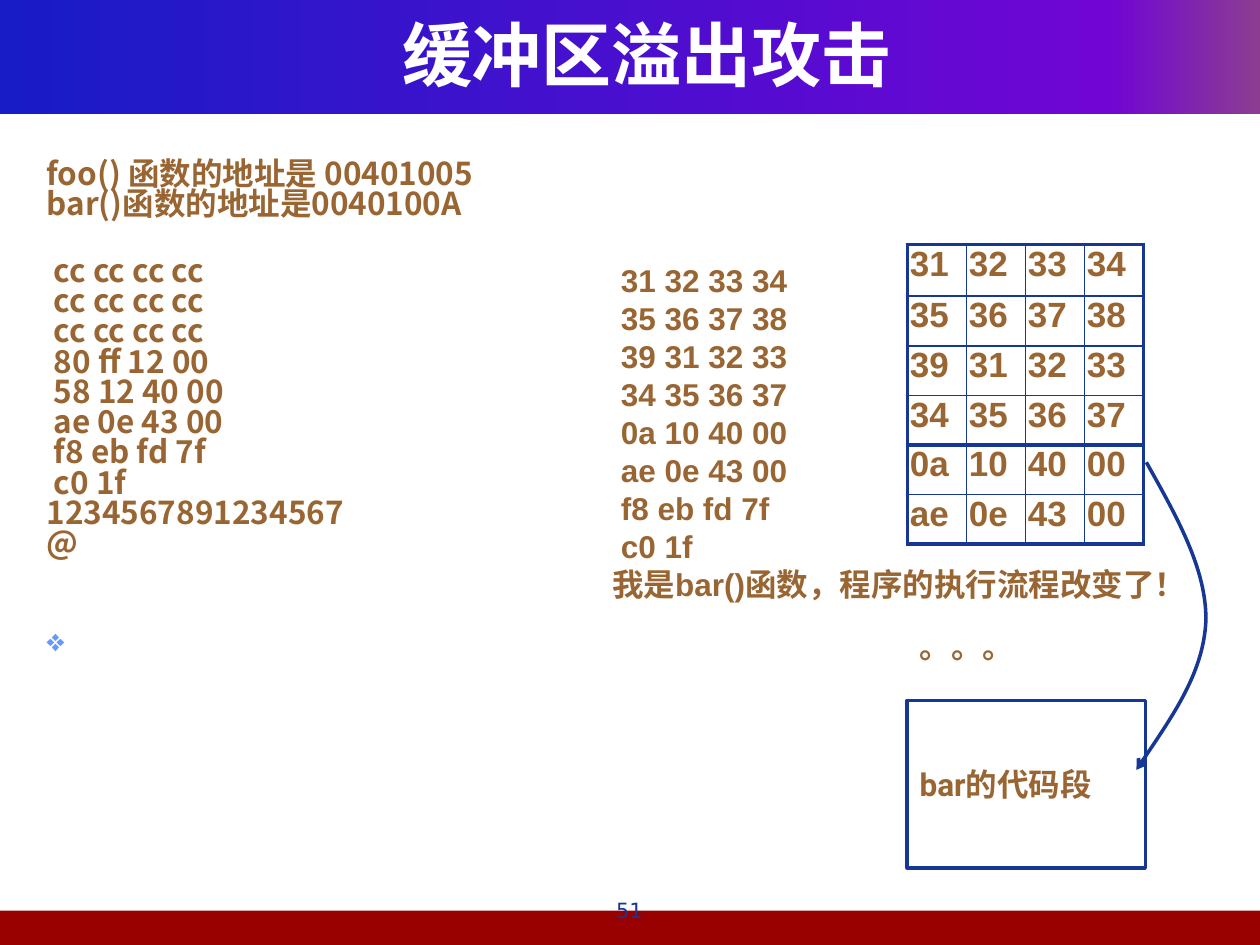
from dataclasses import dataclass
from typing import Optional

from lxml import etree
from pptx import Presentation, util as u
from pptx.dml.color import RGBColor
from pptx.enum import shapes, text
from pptx.oxml.ns import qn
from pptx.util import Cm, Pt

WHITE = RGBColor(0xFF, 0xFF, 0xFF)
BROWN = RGBColor(0x99, 0x66, 0x33)
NAVY = RGBColor(0x16, 0x37, 0x94)
RED = RGBColor(0x99, 0x00, 0x00)
BULLET = RGBColor(0x66, 0x99, 0xFF)
HEADER_STOPS = (
    (0, RGBColor(0x18, 0x1C, 0xC7)),
    (88, RGBColor(0x70, 0x05, 0xD4)),
    (100, RGBColor(0x8C, 0x3D, 0x91)),
)
CJK = "Noto Sans CJK SC"
LEFT, CENTER = text.PP_ALIGN.LEFT, text.PP_ALIGN.CENTER
TOP, MIDDLE = text.MSO_ANCHOR.TOP, text.MSO_ANCHOR.MIDDLE
THIN, THICK = Pt(1), Pt(2.25)


@dataclass(frozen=True)
class Box:
    left: float
    top: float
    width: float
    height: float

    def lengths(self) -> tuple[u.Length, ...]:
        return tuple(Cm(v) for v in (self.left, self.top, self.width, self.height))


@dataclass(frozen=True)
class Style:
    font: str
    size: float
    color: RGBColor = BROWN
    bold: bool = True
    align: text.PP_ALIGN = LEFT
    spacing: Optional[float] = None


def add_color(parent, color: RGBColor) -> None:
    etree.SubElement(parent, qn("a:srgbClr"), val=str(color))


def style_paragraph(p, style: Style) -> None:
    p.alignment = style.align
    p.space_before = Pt(0)
    if style.spacing is not None:
        p.line_spacing = style.spacing
    f = p.font
    f.size, f.bold, f.name = Pt(style.size), style.bold, style.font
    f.color.rgb = style.color
    etree.SubElement(p._p.pPr.find(qn("a:defRPr")), qn("a:ea"), typeface=CJK)


def write_lines(tf, lines: list[str], style: Style, anchor=TOP) -> None:
    tf.word_wrap = True
    tf.vertical_anchor = anchor
    for i, line in enumerate(lines):
        p = tf.paragraphs[0] if i == 0 else tf.add_paragraph()
        p.add_run().text = line
        style_paragraph(p, style)


def add_text(s, box: Box, lines: list[str], style: Style, anchor=TOP):
    tf = s.shapes.add_textbox(*box.lengths()).text_frame
    write_lines(tf, lines, style, anchor)
    return tf


def add_rect(s, box: Box, fill: Optional[RGBColor] = None):
    sp = s.shapes.add_shape(shapes.MSO_SHAPE.RECTANGLE, *box.lengths())
    sp.shadow.inherit = False
    sp.line.fill.background()
    if fill is None:
        sp.fill.background()
    else:
        sp.fill.solid()
        sp.fill.fore_color.rgb = fill
    return sp


def fill_gradient(sp, stops) -> None:
    sp.fill.gradient()
    sp.fill.gradient_angle = 0
    stop_list = sp._element.spPr.find(qn("a:gradFill")).find(qn("a:gsLst"))
    for old in list(stop_list):
        stop_list.remove(old)
    for percent, color in stops:
        add_color(etree.SubElement(stop_list, qn("a:gs"), pos=str(percent * 1000)), color)


def set_bullet(p, char: str, color: RGBColor) -> None:
    pPr = p._p.pPr
    pPr.set("marL", str(Cm(0.95)))
    pPr.set("indent", str(-Cm(0.95)))
    bullet_color = etree.Element(qn("a:buClr"))
    add_color(bullet_color, color)
    bullet = etree.Element(qn("a:buChar"), char=char)
    default_font = pPr.find(qn("a:defRPr"))
    default_font.addprevious(bullet_color)
    default_font.addprevious(bullet)


def set_borders(cell, **widths: int) -> None:
    tcPr = cell._tc.get_or_add_tcPr()
    for i, side in enumerate("LRTB"):
        ln = etree.Element(qn(f"a:ln{side}"), w=str(widths[side]))
        add_color(etree.SubElement(ln, qn("a:solidFill")), NAVY)
        tcPr.insert(i, ln)


def add_memory_table(s, left: float, top: float, rows: list[str], style: Style) -> None:
    data = [row.split() for row in rows]
    n_rows, n_cols = len(data), len(data[0])
    box = Box(left, top, 1.19 * n_cols, 1.01 * n_rows)
    table = s.shapes.add_table(n_rows, n_cols, *box.lengths()).table
    table.first_row = table.horz_banding = False
    for column in table.columns:
        column.width = Cm(1.19)
    heavy = (0, 4, n_rows)  # horizontal rules that bound the buffer and the stack
    for r, values in enumerate(data):
        table.rows[r].height = Cm(1.04 if r == 0 else 1)
        for c, value in enumerate(values):
            cell = table.cell(r, c)
            cell.margin_left = cell.margin_right = Cm(0.05)
            cell.margin_top = cell.margin_bottom = 0
            cell.fill.background()
            write_lines(cell.text_frame, [value], style)
            set_borders(
                cell,
                L=THICK if c == 0 else THIN,
                R=THICK if c == n_cols - 1 else THIN,
                T=THICK if r in heavy else THIN,
                B=THICK if r + 1 in heavy else THIN,
            )


def add_curved_arrow(s, points: list[tuple[float, float]]) -> None:
    """Draw cubic curves: a start, then two controls and an end for each."""
    start, *rest = [(Cm(x), Cm(y)) for x, y in points]
    builder = s.shapes.build_freeform(*start)
    builder.add_line_segments(rest, close=False)
    sp = builder.convert_to_shape()
    sp.shadow.inherit = False
    sp.fill.background()
    sp.line.color.rgb = NAVY
    sp.line.width = Pt(2)
    etree.SubElement(sp.line._get_or_add_ln(), qn("a:tailEnd"), type="arrow")
    segments = list(sp._element.iter(qn("a:lnTo")))
    for i in range(0, len(segments), 3):
        curve = etree.Element(qn("a:cubicBezTo"))
        segments[i].addprevious(curve)
        for segment in segments[i:i + 3]:
            curve.append(segment[0])
            segment.getparent().remove(segment)


def main() -> None:
    prs = Presentation()
    prs.slide_width, prs.slide_height = Cm(25.4), Cm(19.05)
    s = prs.slides.add_slide(prs.slide_layouts[6])

    # Header and footer bands, title
    fill_gradient(add_rect(s, Box(0, 0, 25.4, 2.31)), HEADER_STOPS)
    add_rect(s, Box(-0.1, 18.36, 25.5, 0.69), RED)
    add_text(s, Box(3.3, 0.13, 19.48, 1.9), ["缓冲区溢出攻击"],
             Style(CJK, 40, WHITE, align=CENTER), MIDDLE)

    # Addresses and the stack before the attack
    tf = add_text(s, Box(0.69, 3.12, 11.68, 14.2), [
        "foo() 函数的地址是 00401005", "bar()函数的地址是0040100A",
        *[" cc cc cc cc"] * 3, " 80 ff 12 00", " 58 12 40 00", " ae 0e 43 00",
        " f8 eb fd 7f", " c0 1f", "1234567891234567", "@", " ",
    ], Style(CJK, 18, spacing=0.8))
    tf.paragraphs[2].space_before = Pt(21)
    tf.paragraphs[-1].space_before = Pt(41)
    set_bullet(tf.paragraphs[-1], "❖", BULLET)

    # Memory cells
    memory = ["31 32 33 34", "35 36 37 38", "39 31 32 33", "34 35 36 37",
              "0a 10 40 00", "ae 0e 43 00"]
    add_memory_table(s, 18.29, 4.93, memory, Style("Arial", 20))

    # Page number
    add_text(s, Box(9.73, 17.96, 5.92, 0.89), ["51"],
             Style("DejaVu Sans", 12, NAVY, bold=False, align=CENTER))

    # The stack after the attack
    add_text(s, Box(12.09, 5.13, 11.99, 9.8), [
        *[f" {row}" for row in memory], " f8 eb fd 7f", " c0 1f",
        "我是bar()函数，程序的执行流程改变了！",
    ], Style("Arial", 18, spacing=Pt(21.7)))

    # Jump from the overwritten return address to the code of bar
    add_curved_arrow(s, [(23.11, 9.32), (23.72, 10.41), (24.33, 11.48), (24.31, 12.52),
                         (24.26, 13.56), (23.57, 14.53), (22.91, 15.52)])
    label = Style("Roboto", 18)
    code = add_rect(s, Box(18.29, 14.12, 4.8, 3.38))
    code.line.color.rgb = NAVY
    code.line.width = Pt(2)
    write_lines(code.text_frame, ["bar的代码段"], label, MIDDLE)
    add_text(s, Box(18.29, 12.52, 4.8, 1.02), ["。。。"], label)

    prs.save("out.pptx")


if __name__ == "__main__":
    main()
